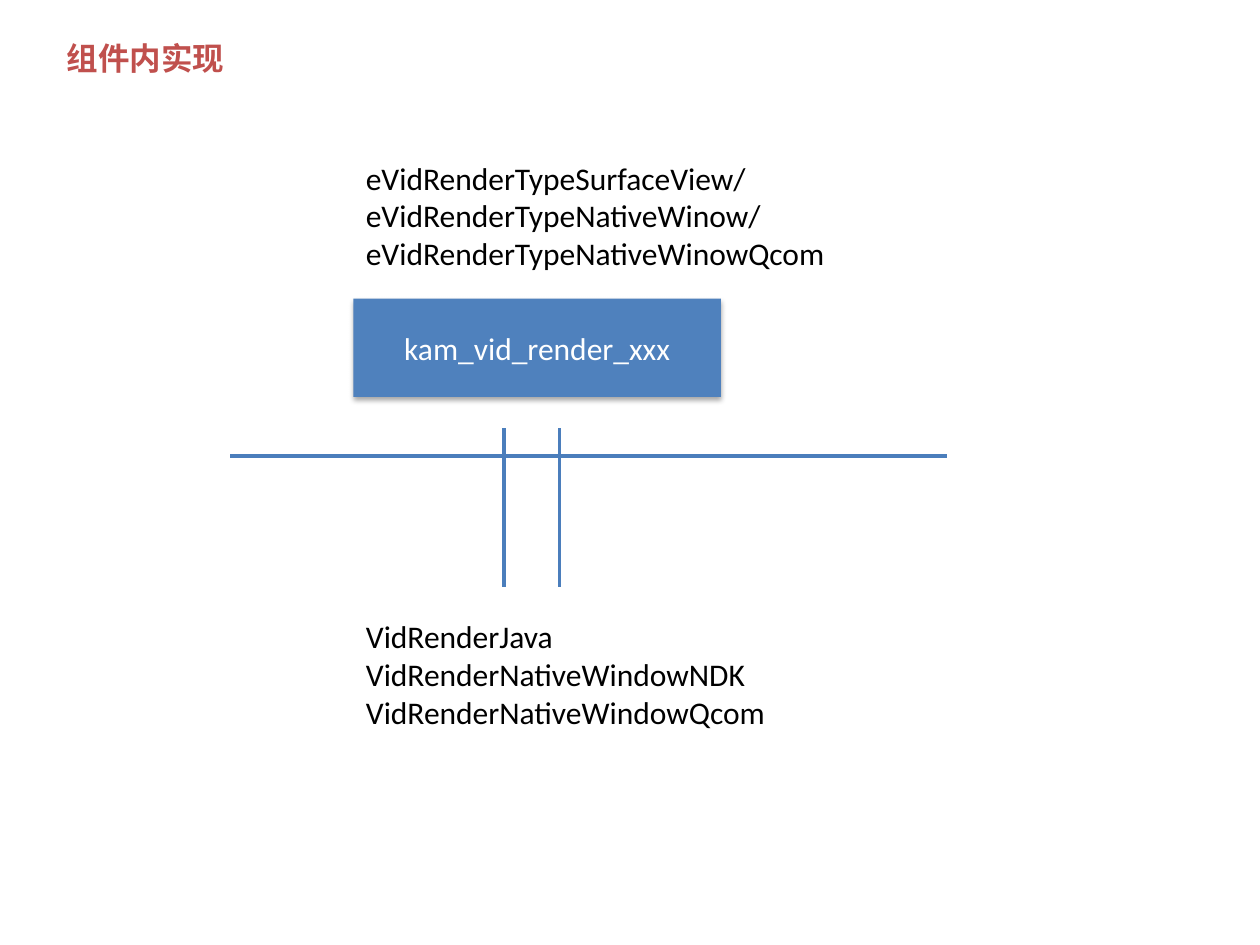
from lxml import etree
from pptx import Presentation
from pptx import util as u
from pptx.dml.color import RGBColor
from pptx.enum import shapes, text
from pptx.oxml import ns, parse_xml

RED = RGBColor(0xC0, 0x50, 0x4D)
BLUE = RGBColor(0x4F, 0x81, 0xBD)
LINE_BLUE = RGBColor(0x4B, 0x7E, 0xBC)
WHITE = RGBColor(0xFF, 0xFF, 0xFF)
BLACK = RGBColor(0, 0, 0)


class RenderSlide:
    """Draws the elements of the component slide in one shared style."""

    font, size, line_width = "Calibri", 18, 2

    def __init__(self, slide):
        self.shapes = slide.shapes

    def set_lines(self, frame, lines, color, bold=None, align=None):
        frame.text = "\n".join(lines)
        for paragraph in frame.paragraphs:
            paragraph.alignment = align
            for run in paragraph.runs:
                run.font.name = self.font
                run.font.size = u.Pt(self.size)
                run.font.bold = bold
                run.font.color.rgb = color

    def label(self, bounds, lines, color=BLACK, bold=None, wrap=False):
        frame = self.shapes.add_textbox(*map(u.Pt, bounds)).text_frame
        frame.word_wrap = wrap
        frame.auto_size = text.MSO_AUTO_SIZE.SHAPE_TO_FIT_TEXT
        self.set_lines(frame, lines, color, bold)

    def module(self, bounds, name):
        module = self.shapes.add_shape(shapes.MSO_SHAPE.RECTANGLE, *map(u.Pt, bounds))
        module.fill.solid()
        module.fill.fore_color.rgb = BLUE
        module.line.fill.background()
        module.shadow.inherit = False
        effects = module._element.spPr.find(ns.qn("a:effectLst"))
        effects.append(parse_xml(
            f'<a:outerShdw {ns.nsdecls("a")} blurRad="{u.Pt(3.1)}" dist="{u.Pt(1.8)}" '
            'dir="5400000" rotWithShape="0"><a:srgbClr val="000000">'
            '<a:alpha val="35000"/></a:srgbClr></a:outerShdw>'))
        module.text_frame.vertical_anchor = text.MSO_ANCHOR.MIDDLE
        self.set_lines(module.text_frame, [name], WHITE, align=text.PP_ALIGN.CENTER)

    def line(self, *ends):
        line = self.shapes.add_connector(shapes.MSO_CONNECTOR.STRAIGHT, *map(u.Pt, ends))
        line.line.color.rgb = LINE_BLUE
        line.line.width = u.Pt(self.line_width)
        etree.SubElement(line._element.spPr, ns.qn("a:effectLst"))


def main():
    deck = Presentation()
    deck.slide_width, deck.slide_height = u.Pt(720), u.Pt(540)
    page = RenderSlide(deck.slides.add_slide(deck.slide_layouts[6]))
    left = 202

    page.label((31, 18.7, 109, 29), ["组件内实现"], RED, bold=True, wrap=True)
    page.module((left, 170.6, 210, 56.2), "kam_vid_render_xxx")
    page.label((left, 87.1, 278.6, 72.7), [
        "eVidRenderTypeSurfaceView/",
        "eVidRenderTypeNativeWinow/",
        "eVidRenderTypeNativeWinowQcom",
    ])
    page.line(131.6, 260.6, 541.4, 260.6)
    for x in (288, 319.7):
        page.line(x, 244.8, x, 335.5)
    page.label((left, 349.2, 243.4, 72.7), [
        "VidRenderJava",
        "VidRenderNativeWindowNDK",
        "VidRenderNativeWindowQcom",
    ])
    deck.save("out.pptx")


if __name__ == "__main__":
    main()
